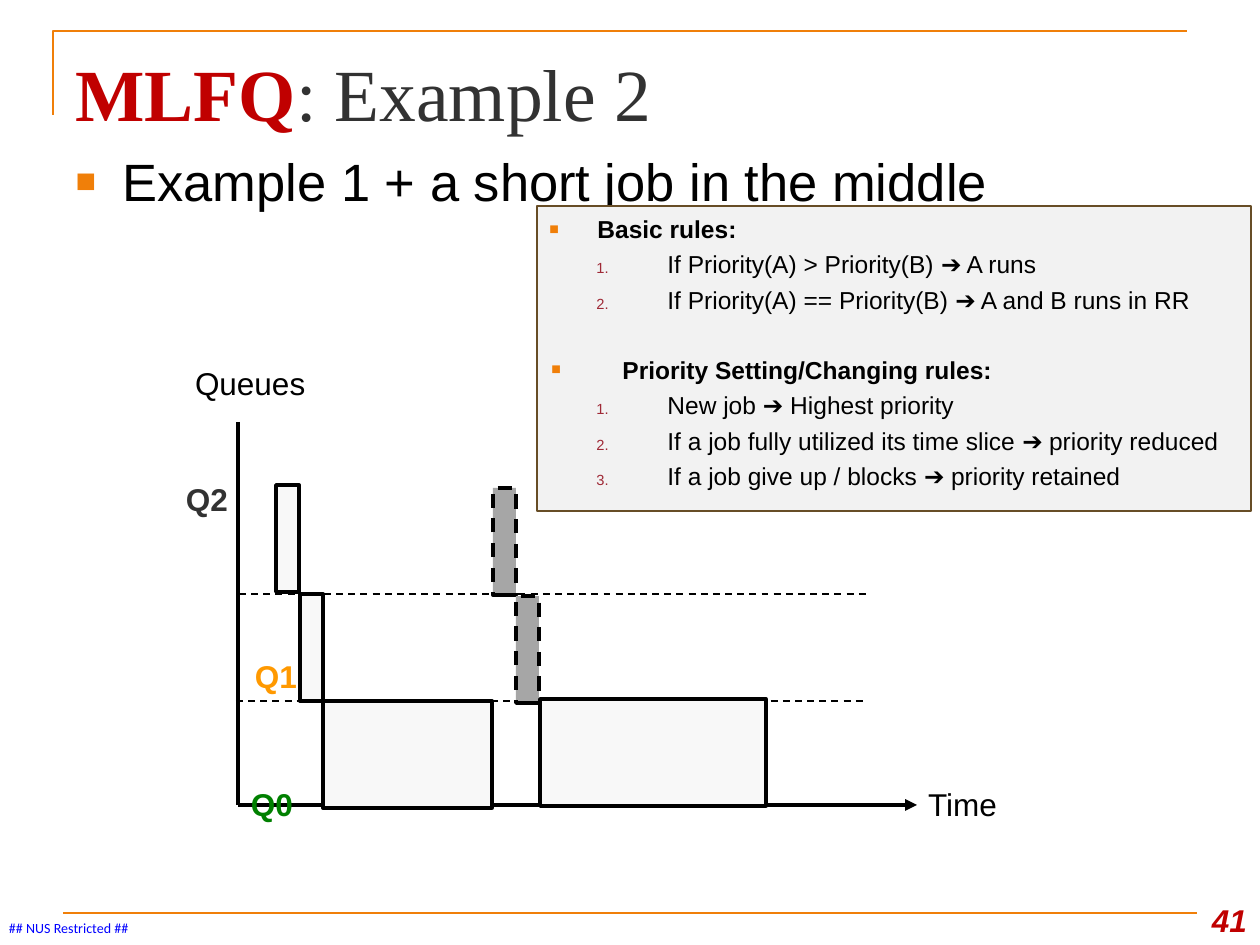
from lxml import etree
from pptx import Presentation
from pptx.dml.color import RGBColor
from pptx.enum.dml import MSO_LINE
from pptx.enum.shapes import MSO_CONNECTOR, MSO_SHAPE
from pptx.enum.text import MSO_ANCHOR, MSO_AUTO_SIZE, PP_ALIGN
from pptx.oxml.ns import qn
from pptx.util import Emu, Inches, Pt

SCALE = 914400 / 126
RECT = MSO_SHAPE.RECTANGLE
STRAIGHT = MSO_CONNECTOR.STRAIGHT
DASH = MSO_LINE.DASH
LEFT, RIGHT = PP_ALIGN.LEFT, PP_ALIGN.RIGHT
TOP, BOTTOM = MSO_ANCHOR.TOP, MSO_ANCHOR.BOTTOM
FIXED = MSO_AUTO_SIZE.NONE

BLACK = RGBColor(0, 0, 0)
DARK = RGBColor(0x32, 0x32, 0x32)
RED = RGBColor(0xC0, 0, 0)
WINE = RGBColor(0x9F, 0x29, 0x36)
ORANGE = RGBColor(0xF0, 0x7F, 0x09)
AMBER = RGBColor(0xFF, 0x99, 0)
GREEN = RGBColor(0, 0x80, 0)
BLUE = RGBColor(0, 0, 0xFF)
BROWN = RGBColor(0x67, 0x4D, 0x26)
PALE = RGBColor(0xF8, 0xF8, 0xF8)
PANEL = RGBColor(0xF2, 0xF2, 0xF2)
GRAY = RGBColor(0xA6, 0xA6, 0xA6)

# text, level, left margin and hanging indent (px), space before (pt)
RULES = [
    ("Basic rules:", 0, 48, 48, 0),
    ("If Priority(A) > Priority(B) ➔ A runs", 1, 118, 71, 3.5),
    ("If Priority(A) == Priority(B) ➔ A and B runs in RR", 1, 118, 71, 3.5),
    ("Priority Setting/Changing rules:", 0, 73, 71, 23),
    ("New job ➔ Highest priority", 1, 118, 71, 3.5),
    ("If a job fully utilized its time slice ➔ priority reduced", 1, 118, 71, 3.5),
    ("If a job give up / blocks ➔ priority retained", 1, 118, 71, 3.5),
]


def px(n):
    return Emu(round(n * SCALE))


def add_run(para, text, size, color, bold=False, font="Arial"):
    run = para.add_run()
    run.text = text
    run.font.name, run.font.size, run.font.bold = font, Pt(size), bold
    run.font.color.rgb = color
    return run


def bullet(para, left, hang, number=False):
    """Give a paragraph a hanging square or number."""
    props = para._p.get_or_add_pPr()
    props.set("marL", str(px(left)))
    props.set("indent", str(-px(hang)))
    tint = etree.SubElement(props, qn("a:buClr"))
    etree.SubElement(tint, qn("a:srgbClr"), val=str(WINE if number else ORANGE))
    etree.SubElement(props, qn("a:buSzPct"), val="60000" if number else "65000")
    etree.SubElement(props, qn("a:buFont"), typeface="Arial")
    if number:
        etree.SubElement(props, qn("a:buAutoNum"), type="arabicPeriod")
    else:
        etree.SubElement(props, qn("a:buChar"), char="■")


def place(shape, x, y, w, h):
    shape.left, shape.top, shape.width, shape.height = map(px, (x, y, w, h))


def add_line(shapes, x1, y1, x2, y2, color=BLACK, width=2.25, dash=None, arrow=False):
    line = shapes.add_connector(STRAIGHT, px(x1), px(y1), px(x2), px(y2))
    line.line.color.rgb, line.line.width = color, Pt(width)
    if dash:
        line.line.dash_style = dash
    if arrow:
        etree.SubElement(line.line._get_or_add_ln(), qn("a:tailEnd"), type="triangle")
    etree.SubElement(line._element.spPr, qn("a:effectLst"))


def add_box(shapes, x, y, w, h, fill=PALE, edge=BLACK, width=2, dash=None):
    box = shapes.add_shape(RECT, px(x), px(y), px(w), px(h))
    box.shadow.inherit = False
    box.fill.solid()
    box.fill.fore_color.rgb = fill
    box.line.color.rgb, box.line.width = edge, Pt(width)
    if dash:
        box.line.dash_style = dash
    return box


def add_label(shapes, text, x, y, w, h, color=BLACK, size=18, bold=False,
              align=LEFT, font="Arial", inset=(11, 6), anchor=TOP):
    label = shapes.add_textbox(px(x), px(y), px(w), px(h))
    frame = label.text_frame
    frame.word_wrap, frame.vertical_anchor = False, anchor
    frame.margin_left = frame.margin_right = px(inset[0])
    frame.margin_top = frame.margin_bottom = px(inset[1])
    para = frame.paragraphs[0]
    para.alignment = align
    return add_run(para, text, size, color, bold, font)


def add_frame(shapes):
    """Draw the corner rule, the foot rule and the footer."""
    pen = shapes.build_freeform(53, 115, scale=SCALE)
    pen.add_line_segments([(53, 31), (1187, 31)], close=False)
    corner = pen.convert_to_shape()
    corner.shadow.inherit = False
    corner.fill.background()
    corner.line.color.rgb, corner.line.width = ORANGE, Pt(1.5)
    add_line(shapes, 63, 913, 1197, 913, ORANGE, 1.5)
    add_label(shapes, "## NUS Restricted ##", 9, 920, 122, 17, BLUE, 8,
              font="Calibri", inset=(0, 0))
    page = add_label(shapes, "41", 1187, 882, 73, 63, RED, 18, True, RIGHT,
                     inset=(13, 6), anchor=BOTTOM)
    page.font.italic = True


def fill_heads(slide):
    title, body = slide.placeholders
    place(title, 63, 38, 1134, 98)
    frame = title.text_frame
    frame.auto_size, frame.vertical_anchor = FIXED, BOTTOM
    frame.margin_bottom = 0
    para = frame.paragraphs[0]
    para.alignment = LEFT
    add_run(para, "MLFQ", 42, RED, True, "Times New Roman")
    add_run(para, ": Example 2", 42, DARK, False, "Times New Roman")

    place(body, 63, 136, 1134, 179)
    frame = body.text_frame
    frame.auto_size, frame.margin_top = FIXED, px(13)
    para = frame.paragraphs[0]
    bullet(para, 47, 47)
    para.space_before = Pt(0)
    add_run(para, "Example 1 + a short job in the middle", 30, BLACK)


def add_chart_area(shapes):
    """Draw the queue axes, their labels and the job bars."""
    add_line(shapes, 238, 422, 238, 805)
    add_line(shapes, 238, 805, 917, 805, arrow=True)
    for x, y in ((239, 594), (236, 701)):
        add_line(shapes, x, y, 867, y, width=1, dash=DASH)
    add_label(shapes, "Time", 917, 779, 92, 49)
    add_label(shapes, "Queues", 184, 358, 134, 49)
    for text, x, y, color in (("Q2", 174, 474, DARK), ("Q1", 243, 651, AMBER),
                              ("Q0", 239, 779, GREEN)):
        add_label(shapes, text, x, y, 65, 49, color, bold=True, align=RIGHT)

    long_job = shapes.add_group_shape().shapes
    for x, y, w in ((276, 485, 23), (300, 594, 23), (323, 701, 169)):
        add_box(long_job, x, y, w, 107)
    for x, y in ((493, 488), (516, 596)):
        add_box(shapes, x, y, 23, 107, GRAY, dash=DASH)
    add_box(shapes, 540, 699, 226, 107)


def add_rules(shapes):
    panel = add_box(shapes, 537, 206, 714, 305, PANEL, BROWN, 0.75)
    frame = panel.text_frame
    frame.word_wrap, frame.vertical_anchor = True, TOP
    frame.margin_top = px(8)
    for i, (text, level, left, hang, gap) in enumerate(RULES):
        para = frame.add_paragraph() if i else frame.paragraphs[0]
        para.level, para.alignment = level, LEFT
        bullet(para, left, hang, number=level == 1)
        para.space_before = Pt(gap)
        add_run(para, text, 14, BLACK, level == 0)


def main():
    deck = Presentation()
    deck.slide_width, deck.slide_height = Inches(10), Inches(7.5)
    slide = deck.slides.add_slide(deck.slide_layouts[1])
    add_frame(slide.shapes)
    fill_heads(slide)
    add_chart_area(slide.shapes)
    add_rules(slide.shapes)
    deck.save("out.pptx")


if __name__ == "__main__":
    main()
